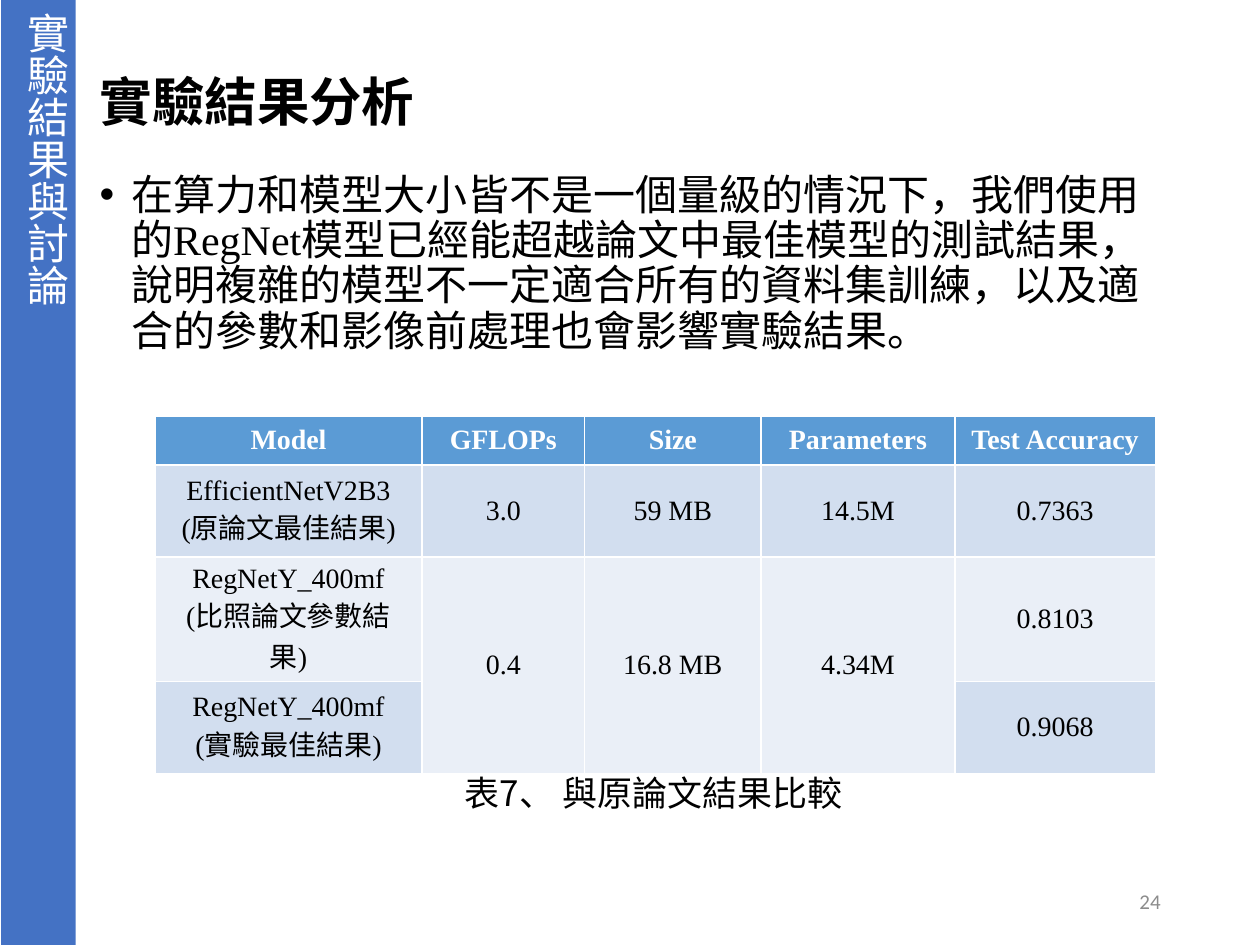
from dataclasses import dataclass
from typing import Any, NamedTuple

from lxml.etree import SubElement
from pptx import Presentation
from pptx.dml.color import RGBColor
from pptx.enum.shapes import MSO_SHAPE
from pptx.enum.text import MSO_ANCHOR, MSO_AUTO_SIZE, PP_ALIGN
from pptx.oxml.ns import qn
from pptx.util import Inches, Pt


@dataclass(frozen=True)
class Theme:
    sidebar: str = "4472C4"
    header: str = "5B9BD5"
    band_dark: str = "D2DEEF"
    band_light: str = "EAEFF7"
    ink: str = "000000"
    light: str = "FFFFFF"
    muted: str = "8C8C8C"
    latin: str = "Times New Roman"
    heading: str = "Calibri"
    cjk: str = "Noto Sans CJK SC"
    title_size: int = 30
    body_size: int = 24
    caption_size: int = 20
    table_size: int = 16
    number_size: int = 12


THEME = Theme()


class Box(NamedTuple):
    left: float
    top: float
    width: float
    height: float

    def lengths(self) -> list[int]:
        return [Inches(side) for side in self]


class Style(NamedTuple):
    size: int
    color: str = THEME.ink
    font: str = THEME.latin
    bold: bool = False


class ModelRow(NamedTuple):
    cells: tuple[str, ...]
    fill: str
    height: float = 0.73


HEADER = ModelRow(("Model", "GFLOPs", "Size", "Parameters", "Test Accuracy"), THEME.header, 0.39)
MODELS = (
    ModelRow(("EfficientNetV2B3\n(原論文最佳結果)", "3.0", "59 MB", "14.5M", "0.7363"), THEME.band_dark),
    ModelRow(("RegNetY_400mf\n(比照論文參數結果)", "0.4", "16.8 MB", "4.34M", "0.8103"), THEME.band_light),
    ModelRow(("RegNetY_400mf\n(實驗最佳結果)", "", "", "", "0.9068"), THEME.band_dark),
)
COLUMN_WIDTHS = (2.12, 1.29, 1.4, 1.54, 1.59)
SHARED_COLUMNS = (1, 2, 3)


def apply(target: Any, formats: dict[str, Any]) -> None:
    for attribute, value in formats.items():
        setattr(target, attribute, value)


def add_run(paragraph: Any, text: str, style: Style) -> None:
    run = paragraph.add_run()
    run.text = text
    apply(run.font, {"size": Pt(style.size), "name": style.font, "bold": style.bold})
    run.font.color.rgb = RGBColor.from_string(style.color)
    SubElement(run.font._element, qn("a:ea"), typeface=THEME.cjk)


def place(shape: Any, box: Box) -> None:
    apply(shape, dict(zip(("left", "top", "width", "height"), box.lengths())))


def add_text(slide: Any, box: Box) -> Any:
    frame = slide.shapes.add_textbox(*box.lengths()).text_frame
    frame.word_wrap = True
    return frame


def add_sidebar(slide: Any, section: str) -> None:
    bar = slide.shapes.add_shape(MSO_SHAPE.RECTANGLE, *Box(0.01, 0, 0.59, 7.5).lengths())
    bar.shadow.inherit = False
    bar.fill.solid()
    bar.fill.fore_color.rgb = RGBColor.from_string(THEME.sidebar)
    bar.line.fill.background()
    frame = add_text(slide, Box(0.01, 0, 0.61, 7.35))
    frame._txBody.bodyPr.set("vert", "eaVert")
    add_run(frame.paragraphs[0], section, Style(THEME.body_size, THEME.light))


def fill_title(slide: Any, text: str) -> None:
    title = slide.shapes.title
    place(title, Box(0.69, 0.21, 8.62, 0.93))
    apply(title.text_frame, {"vertical_anchor": MSO_ANCHOR.MIDDLE, "auto_size": MSO_AUTO_SIZE.NONE})
    paragraph = title.text_frame.paragraphs[0]
    apply(paragraph, {"alignment": PP_ALIGN.LEFT, "line_spacing": 1.5})
    add_run(paragraph, text, Style(THEME.title_size, font=THEME.heading, bold=True))


def fill_body(slide: Any, text: str) -> None:
    body = slide.placeholders[1]
    place(body, Box(0.69, 1.33, 8.62, 5.55))
    body.text_frame.auto_size = MSO_AUTO_SIZE.NONE
    paragraph = body.text_frame.paragraphs[0]
    apply(paragraph, {"line_spacing": 0.9, "space_before": Pt(0)})
    properties = paragraph._p.get_or_add_pPr()
    properties.set("marL", str(Inches(0.25)))
    properties.set("indent", str(Inches(-0.25)))
    SubElement(properties, qn("a:buFont"), typeface="Arial")
    SubElement(properties, qn("a:buChar"), char="•")
    add_run(paragraph, text, Style(THEME.body_size))


def fill_cell(cell: Any, text: str, fill: str, style: Style) -> None:
    cell.fill.solid()
    cell.fill.fore_color.rgb = RGBColor.from_string(fill)
    cell.vertical_anchor = MSO_ANCHOR.MIDDLE
    if not text:
        return
    for index, line in enumerate(text.split("\n")):
        paragraph = cell.text_frame.add_paragraph() if index else cell.text_frame.paragraphs[0]
        paragraph.alignment = PP_ALIGN.CENTER
        add_run(paragraph, line, style)


def add_comparison(slide: Any) -> None:
    """Draw the model table; its default style supplies the white borders."""
    rows = (HEADER, *MODELS)
    box = Box(1.23, 3.3, sum(COLUMN_WIDTHS), sum(row.height for row in rows))
    table = slide.shapes.add_table(len(rows), len(COLUMN_WIDTHS), *box.lengths()).table
    for column, width in zip(table.columns, COLUMN_WIDTHS):
        column.width = Inches(width)
    for column in SHARED_COLUMNS:
        table.cell(2, column).merge(table.cell(3, column))
    for row_index, row in enumerate(rows):
        table.rows[row_index].height = Inches(row.height)
        is_header = row is HEADER
        style = Style(THEME.table_size, THEME.light if is_header else THEME.ink, bold=is_header)
        for column, text in enumerate(row.cells):
            fill_cell(table.cell(row_index, column), text, row.fill, style)


def add_caption(slide: Any) -> None:
    paragraph = add_text(slide, Box(3.59, 6.07, 3.22, 0.44)).paragraphs[0]
    add_run(paragraph, "表7、 ", Style(THEME.caption_size, font=THEME.cjk))
    add_run(paragraph, "與原論文結果比較", Style(THEME.caption_size))


def add_page_number(slide: Any, number: str) -> None:
    frame = add_text(slide, Box(7.06, 6.95, 2.25, 0.4))
    frame.vertical_anchor = MSO_ANCHOR.MIDDLE
    frame.paragraphs[0].alignment = PP_ALIGN.RIGHT
    add_run(frame.paragraphs[0], number, Style(THEME.number_size, THEME.muted, THEME.heading))


def main() -> None:
    presentation = Presentation()
    apply(presentation, {"slide_width": Inches(10), "slide_height": Inches(7.5)})
    slide = presentation.slides.add_slide(presentation.slide_layouts[1])
    add_sidebar(slide, "實驗結果與討論")
    fill_title(slide, "實驗結果分析")
    fill_body(
        slide,
        "在算力和模型大小皆不是一個量級的情況下，我們使用的RegNet模型已經能超越論文中最佳模型的測試結果，"
        "說明複雜的模型不一定適合所有的資料集訓練，以及適合的參數和影像前處理也會影響實驗結果。",
    )
    add_comparison(slide)
    add_caption(slide)
    add_page_number(slide, "24")
    presentation.save("out.pptx")


if __name__ == "__main__":
    main()
